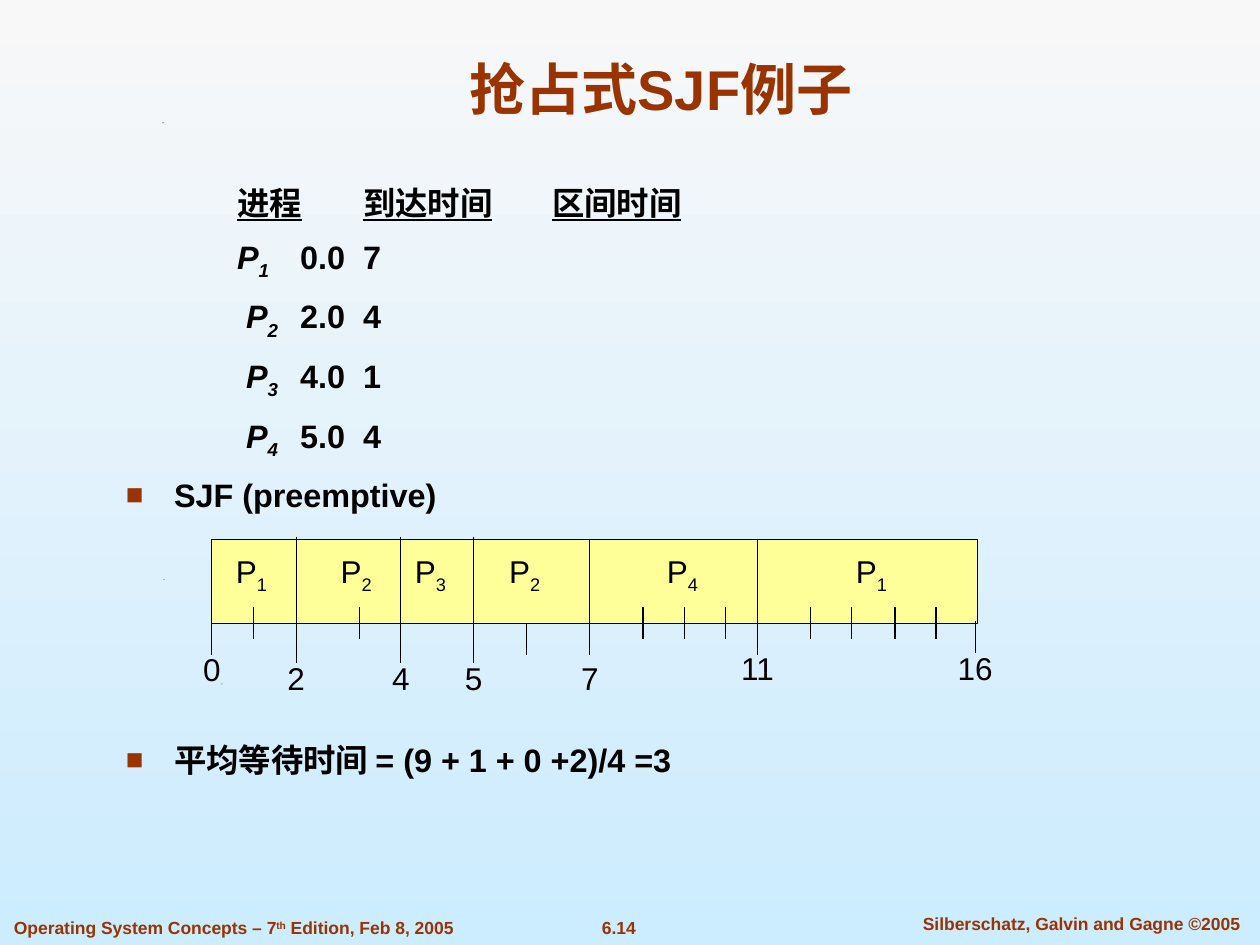
from lxml import etree
from pptx import Presentation
from pptx.dml.color import RGBColor
from pptx.enum.shapes import MSO_CONNECTOR, MSO_SHAPE
from pptx.enum.text import MSO_ANCHOR, PP_ALIGN
from pptx.oxml.ns import qn
from pptx.util import Cm, Pt

LINE, RECT = MSO_CONNECTOR.STRAIGHT, MSO_SHAPE.RECTANGLE
TOP, MID, BASE = MSO_ANCHOR.TOP, MSO_ANCHOR.MIDDLE, MSO_ANCHOR.BOTTOM
LEFT, MEAN = PP_ALIGN.LEFT, PP_ALIGN.CENTER
HUES = {"rust": "993300", "ink": "000000", "bar": "FFFF99", "sky": "F8F8F8", "sea": "CCECFF"}
HEAD = {"size": Pt(32), "bold": True}
BODY = {"size": Pt(18.5), "bold": True}
FOOT = {"size": Pt(10), "bold": True}
MARK = {"size": Pt(18)}
JOBS = [("1", "0.0", "7"), ("2", "2.0", "4"), ("3", "4.0", "1"), ("4", "5.0", "4")]
SPANS = [("1", 0.8), ("2", 2.91), ("3", 4.41), ("2", 6.31), ("4", 9.49), ("1", 13.3)]
TIMES = [
    ("0", 0, 1.7, 2.34, 2.11), ("2", 1.7, -0.05, 2.49, 2.29), ("4", 3.81, -0.05, 2.49, 2.29),
    ("5", 5.28, -0.05, 2.49, 2.29), ("7", 7.62, 0, 2.34, 2.29), ("11", 11, 0, 2.34, 2.08),
    ("16", 15.39, 1.65, 2.29, 2.08),
]
TICKS = [0.84, 2.97, 8.69, 9.53, 10.36, 12.07, 12.9, 13.77, 14.6]
SPECKS = [(4.47, 13.78), (3.3, 11.68), (3.28, 2.47)]


def hue(name):
    """Return the named colour."""
    return RGBColor.from_string(HUES[name])


def add_box(slide, box, anchor=TOP, wrap=True):
    """Add an empty text box and return its frame."""
    frame = slide.shapes.add_textbox(*map(Cm, box)).text_frame
    frame.word_wrap = wrap
    frame.vertical_anchor = anchor
    return frame


def add_run(para, text, style, shade="ink", shift=0, **more):
    """Add one run with its font values and baseline shift."""
    run = para.add_run()
    run.text = text
    run.font.color.rgb = hue(shade)
    for key, value in {"name": "Arial", **style, **more}.items():
        setattr(run.font, key, value)
    if shift:
        run.font._element.set("baseline", str(shift * 1000))


def add_text(slide, box, runs, style, shade="ink", align=MEAN, anchor=TOP, wrap=False):
    """Add a one-line label made of text and baseline pairs."""
    para = add_box(slide, box, anchor, wrap).paragraphs[0]
    para.alignment = align
    for text, shift in runs:
        add_run(para, text, style, shade, shift)


def add_para(frame, gap, bullet=False):
    """Start a body paragraph with a hanging indent."""
    para = frame.add_paragraph() if gap else frame.paragraphs[0]
    para.space_before = Pt(gap)
    props = para._p.get_or_add_pPr()
    props.set("marL", str(Cm(0.97)))
    props.set("indent", str(-Cm(0.97)))
    if bullet:
        tint = etree.SubElement(props, qn("a:buClr"))
        etree.SubElement(tint, qn("a:srgbClr"), val=HUES["rust"])
        etree.SubElement(props, qn("a:buSzPct"), val="90000")
        etree.SubElement(props, qn("a:buFont"), typeface="Arial")
        etree.SubElement(props, qn("a:buChar"), char="■")
    return para


def add_body(slide, box):
    """Write the tabbed job list and the two bullets."""
    frame = add_box(slide, box)
    para = add_para(frame, 0)
    for lead, text in [("\t\t", "进程"), ("\t", "到达时间"), ("\t", "区间时间")]:
        add_run(para, lead, BODY)
        add_run(para, text, BODY, underline=True)
    for num, start, burst in JOBS:
        para = add_para(frame, 8.8)
        add_run(para, "\t\t" if num == "1" else "\t\t ", BODY)
        add_run(para, "P", BODY, italic=True)
        add_run(para, f"{num}\t", BODY, shift=-25, italic=True)
        add_run(para, f"{start}\t{burst}", BODY)
    for gap, text in [(8.8, "SJF (preemptive)"), (129, "平均等待时间 = (9 + 1 + 0 +2)/4 =3")]:
        add_run(add_para(frame, gap, True), text, BODY)


def add_tick(slide, x, top, end):
    """Draw one upright line."""
    tick = slide.shapes.add_connector(LINE, Cm(x), Cm(top), Cm(x), Cm(end))
    tick.line.color.rgb = hue("ink")
    tick.line.width = Pt(0.75)
    etree.SubElement(tick._element.spPr, qn("a:effectLst"))


def add_gantt(slide, box):
    """Draw the schedule bar with its jobs, ticks and times."""
    left, top = box[:2]
    bar = slide.shapes.add_shape(RECT, *map(Cm, box))
    bar.shadow.inherit = False
    bar.fill.solid()
    bar.fill.fore_color.rgb = hue("bar")
    bar.line.color.rgb = hue("ink")
    bar.line.width = Pt(0.75)
    for num, mid in SPANS:
        spot = (left + mid - 0.57, top + 0.13, 1.14, 1.12)
        add_text(slide, spot, [("P", 0), (num, -25)], MARK, anchor=MID)
    for x in TICKS:
        add_tick(slide, left + x, top + 1.37, top + 2.01)
    add_tick(slide, left + 6.35, top + 1.7, top + 2.34)
    for time, x, start, end, drop in TIMES:
        add_tick(slide, left + x, top + start, top + end)
        wide = 0.5 + 0.36 * len(time)
        spot = (left + x - wide / 2, top + drop, wide, 1.02)
        add_text(slide, spot, [(time, 0)], MARK, anchor=MID)


def add_foot(slide, box):
    """Write the book title, page number and authors."""
    left, top = box[:2]
    book = [("Operating System Concepts – 7", 0), ("th", 30), (" Edition, Feb 8, 2005", 0)]
    add_text(slide, (left, top, 9.37, 0.69), book, FOOT, "rust", LEFT)
    add_text(slide, (left + 11.2, top, 2.49, 0.69), [("6.14", 0)], FOOT, "rust")
    names = [("Silberschatz, Galvin and Gagne ©2005", 0)]
    add_text(slide, (left + 18, top - 0.08, 7.54, 0.69), names, FOOT, "rust", wrap=True)


def add_back(slide):
    """Fill the background and set its tiny specks."""
    fill = slide.background.fill
    fill.gradient()
    fill.gradient_angle = 270
    for stop, name, place in zip(fill.gradient_stops, ("sky", "sea"), (0, 1)):
        stop.color.rgb = hue(name)
        stop.position = place
    for x, y in SPECKS:
        pen = slide.shapes.build_freeform(Cm(x), Cm(y))
        pen.add_line_segments([(Cm(x + 0.02), Cm(y)), (Cm(x), Cm(y + 0.02))])
        speck = pen.convert_to_shape()
        speck.shadow.inherit = False
        speck.fill.solid()
        speck.fill.fore_color.rgb = hue("ink")
        speck.line.fill.background()


def main():
    """Build and save the slide."""
    deck = Presentation()
    deck.slide_width, deck.slide_height = Cm(25.4), Cm(19.05)
    slide = deck.slides.add_slide(deck.slide_layouts[6])
    add_back(slide)
    add_foot(slide, (0.03, 18.36, 25.4, 0.69))
    title = [("抢占式SJF例子", 0)]
    add_text(slide, (3.84, 0.84, 18.97, 1.73), title, HEAD, "rust", anchor=BASE, wrap=True)
    add_body(slide, (2.29, 3.56, 20.42, 12.45))
    add_gantt(slide, (4.27, 10.87, 15.44, 1.7))
    deck.save("out.pptx")


if __name__ == "__main__":
    main()
